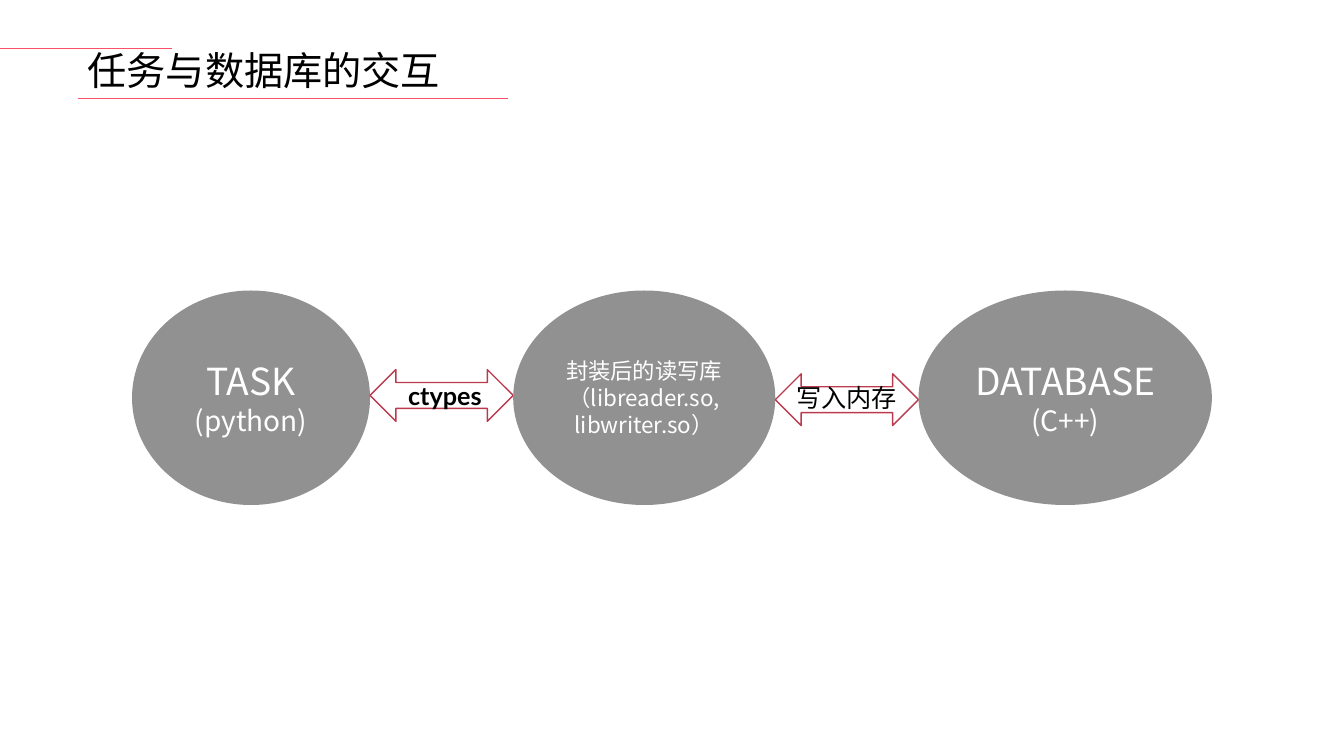
from lxml.etree import SubElement
from pptx import Presentation
from pptx.dml.color import RGBColor
from pptx.enum.shapes import MSO_CONNECTOR, MSO_SHAPE
from pptx.enum.text import MSO_ANCHOR, PP_ALIGN
from pptx.oxml.ns import qn
from pptx.util import Pt

BLACK = RGBColor(0x00, 0x00, 0x00)
WHITE = RGBColor(0xFF, 0xFF, 0xFF)
GRAY = RGBColor(0x91, 0x91, 0x91)
PINK = RGBColor(0xFD, 0x4F, 0x69)
CRIMSON = RGBColor(0xBB, 0x3A, 0x4E)
LATIN_FONT = "Lato"
CHINESE_FONT = "Noto Sans CJK SC"


def write_text(paragraph, text, size, font=LATIN_FONT, color=BLACK, bold=False,
               alignment=PP_ALIGN.LEFT, line_spacing=None):
    paragraph.alignment = alignment
    paragraph.line_spacing = line_spacing
    run = paragraph.add_run()
    run.text = text
    run.font.size = Pt(size)
    run.font.bold = bold
    run.font.color.rgb = color
    run.font.name = font
    east_asian = SubElement(run.font._element, qn("a:ea"))
    east_asian.set("typeface", CHINESE_FONT)


class DiagramSlide:
    def __init__(self, slide):
        self.slide = slide
        self.line_width = Pt(1)

    def rule(self, left, right, top):
        connector = self.slide.shapes.add_connector(
            MSO_CONNECTOR.STRAIGHT, Pt(left), Pt(top), Pt(right), Pt(top))
        connector.line.color.rgb = PINK
        connector.line.width = self.line_width
        SubElement(connector._element.spPr, qn("a:effectLst"))

    def label(self, text, left, top, width, height, anchor=MSO_ANCHOR.TOP, **text_format):
        box = self.slide.shapes.add_textbox(Pt(left), Pt(top), Pt(width), Pt(height))
        box.text_frame.word_wrap = True
        box.text_frame.vertical_anchor = anchor
        write_text(box.text_frame.paragraphs[0], text, **text_format)

    def shape(self, kind, left, top, width, height, fill):
        shape = self.slide.shapes.add_shape(kind, Pt(left), Pt(top), Pt(width), Pt(height))
        shape.shadow.inherit = False
        shape.fill.solid()
        shape.fill.fore_color.rgb = fill
        return shape

    def node(self, left, width, lines):
        ellipse = self.shape(MSO_SHAPE.OVAL, left, 207.5, width, 153.2, GRAY)
        ellipse.line.fill.background()
        frame = ellipse.text_frame
        frame.word_wrap = True
        frame.vertical_anchor = MSO_ANCHOR.MIDDLE
        for index, (text, size) in enumerate(lines):
            paragraph = frame.add_paragraph() if index else frame.paragraphs[0]
            write_text(paragraph, text, size, font=CHINESE_FONT, color=WHITE,
                       alignment=PP_ALIGN.CENTER)

    def double_arrow(self, left, top, width):
        arrow = self.shape(MSO_SHAPE.LEFT_RIGHT_ARROW, left, top, width, 37, WHITE)
        arrow.line.color.rgb = CRIMSON
        arrow.line.width = self.line_width


def main():
    presentation = Presentation()
    presentation.slide_width = Pt(960)
    presentation.slide_height = Pt(540)
    diagram = DiagramSlide(presentation.slides.add_slide(presentation.slide_layouts[6]))

    diagram.rule(0, 123, 34.6)
    diagram.rule(55.5, 363, 70.4)
    diagram.label("任务与数据库的交互", 55.5, 35.3, 294, 33.8, anchor=MSO_ANCHOR.MIDDLE,
                  size=28, line_spacing=0.9)

    gap = 102.3
    left = 94.3
    nodes = [
        (170, [("TASK", 26.6), ("(python)", 20)], 264),
        (187.2, [("封装后的读写库", 16), ("（libreader.so, libwriter.so）", 16)], 267),
        (209.5, [("DATABASE", 26.6), ("(C++)", 20)], None),
    ]
    for width, lines, arrow_top in nodes:
        diagram.node(left, width, lines)
        left += width
        if arrow_top is not None:
            diagram.double_arrow(left, arrow_top, gap)
            left += gap

    diagram.label("ctypes", 284.4, 267.8, 73.4, 51, size=18, bold=True)
    diagram.label("写入内存", 553.7, 269.3, gap, 29, size=18, alignment=PP_ALIGN.CENTER)

    presentation.save("out.pptx")


if __name__ == "__main__":
    main()
